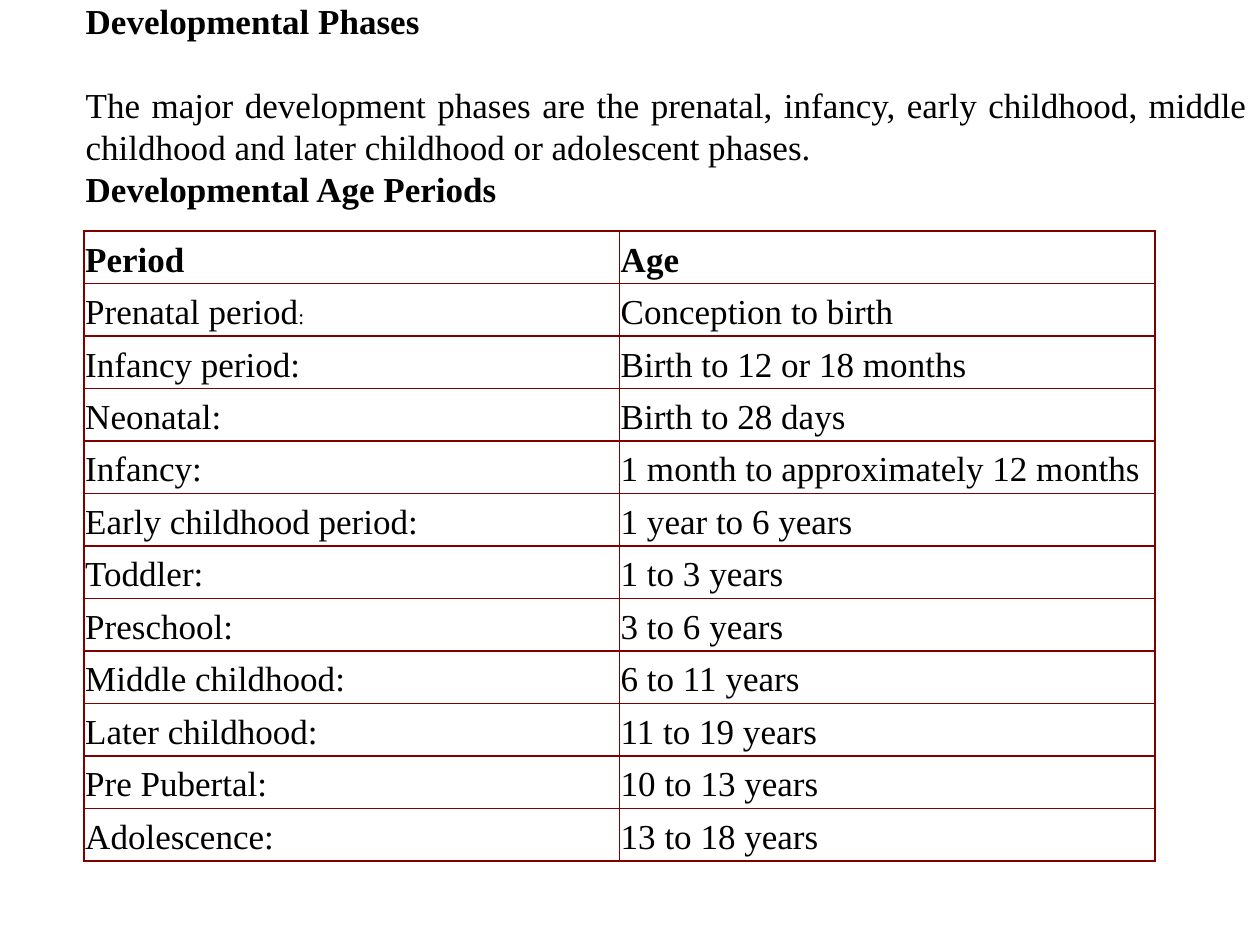
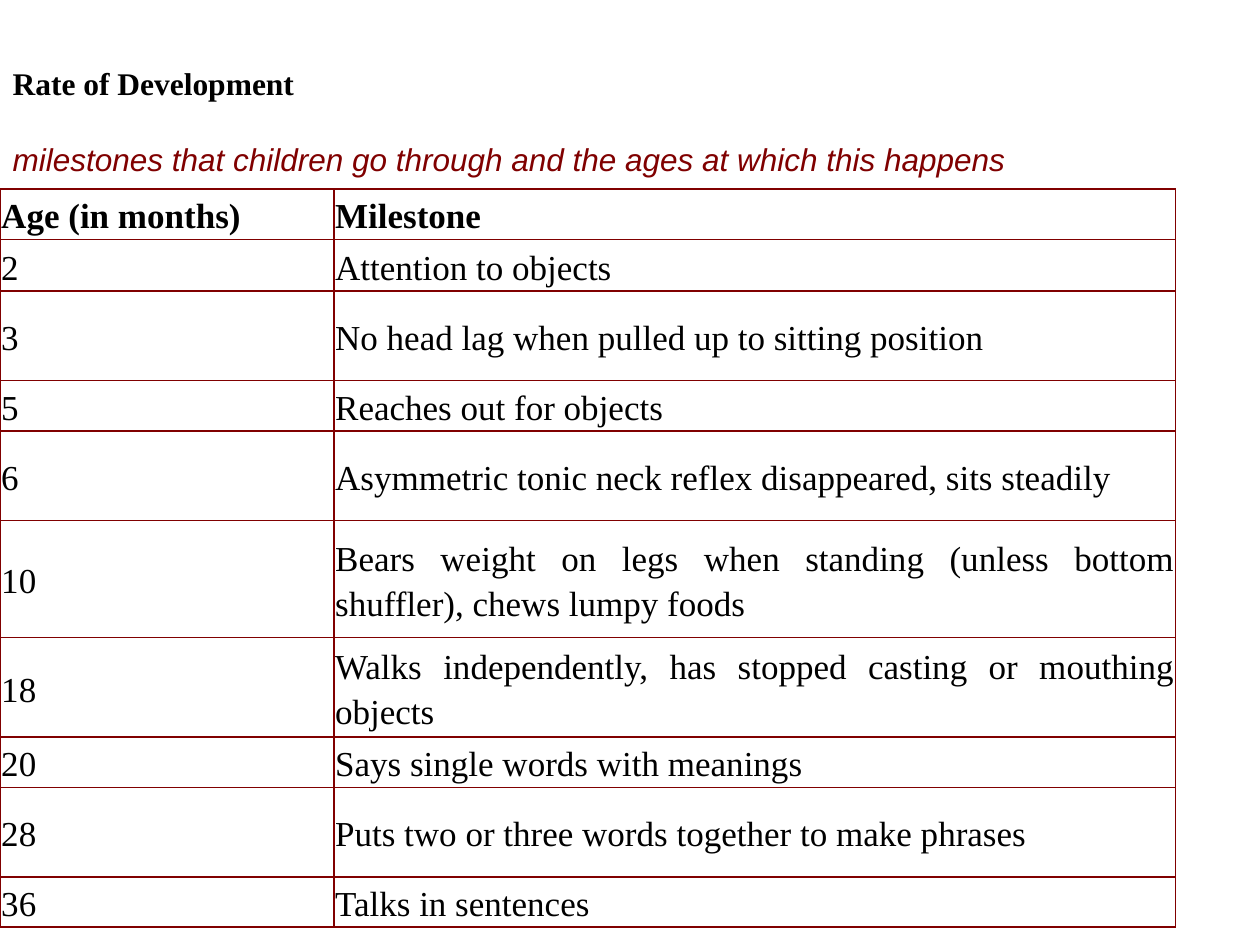
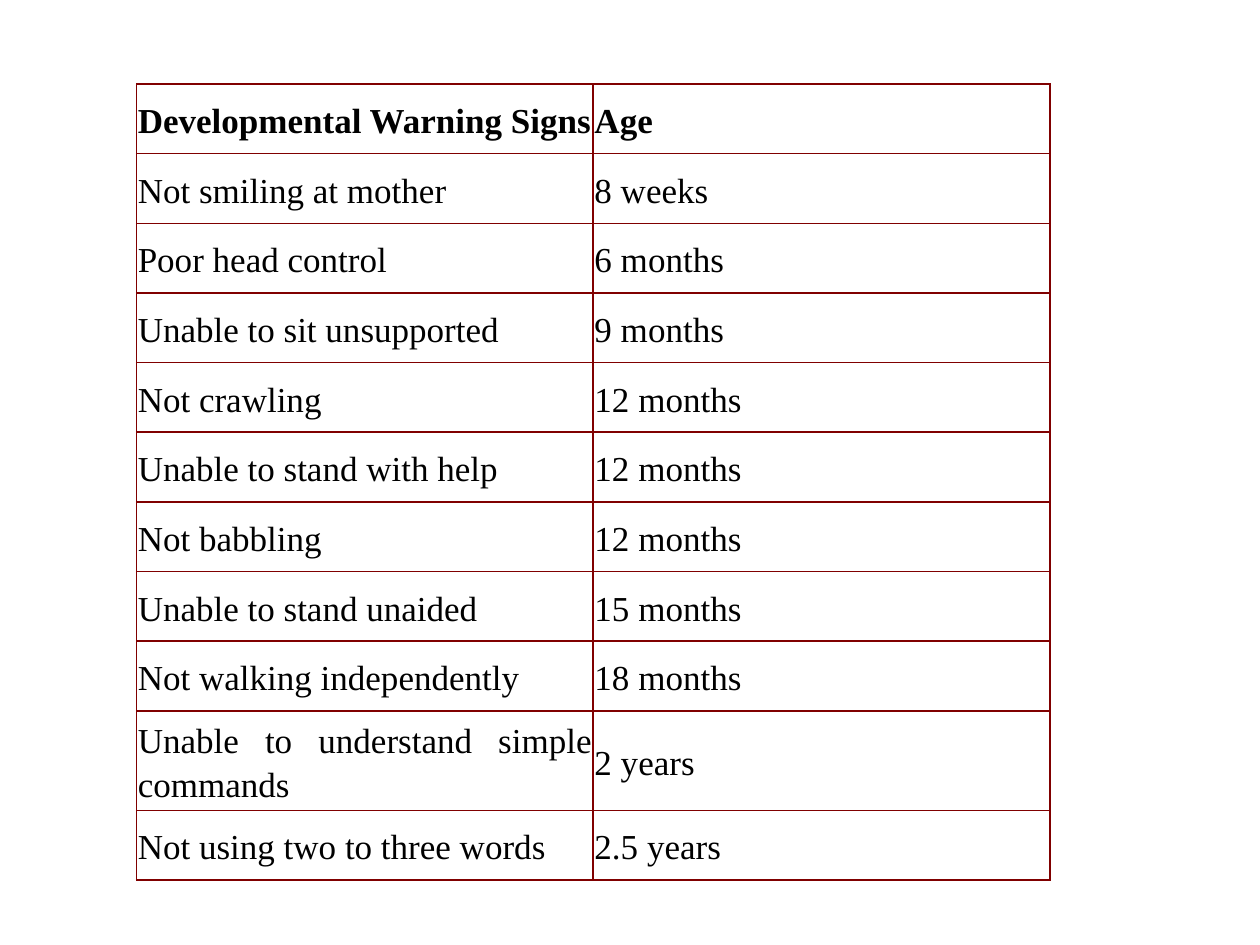
from dataclasses import dataclass

from lxml import etree
from pptx import Presentation
from pptx.dml.color import RGBColor
from pptx.enum.text import MSO_ANCHOR, MSO_AUTO_SIZE, PP_ALIGN
from pptx.oxml.ns import qn
from pptx.util import Inches, Pt

MIDDLE = MSO_ANCHOR.MIDDLE
NO_AUTOFIT = MSO_AUTO_SIZE.NONE
JUSTIFY = PP_ALIGN.JUSTIFY
TITLE_AND_CONTENT = 1
BLANK = 6


@dataclass(frozen=True)
class Theme:
    text: RGBColor = RGBColor(0x00, 0x00, 0x00)
    accent: RGBColor = RGBColor(0x80, 0x00, 0x00)
    serif: str = "Times New Roman"
    sans: str = "Arial"
    large: float = 20
    medium: float = 18
    small: float = 12
    border: float = 1
    text_spacing: float = 1.0
    cell_spacing: float = 1.15
    cell_margin: float = 0.01


@dataclass(frozen=True)
class Box:
    left: float
    top: float
    width: float
    height: float


@dataclass(frozen=True)
class TextStyle:
    size: float
    font: str
    color: RGBColor
    bold: bool = False
    italic: bool = False


@dataclass(frozen=True)
class TextLine:
    text: str
    style: TextStyle


@dataclass(frozen=True)
class TableLayout:
    left: float
    top: float
    column_widths: list[float]
    row_heights: list[float]


THEME = Theme()
HEADING = TextStyle(THEME.large, THEME.serif, THEME.text, bold=True)
BODY = TextStyle(THEME.large, THEME.serif, THEME.text)
SMALL_BODY = TextStyle(THEME.small, THEME.serif, THEME.text)
RATE_HEADING = TextStyle(THEME.medium, THEME.serif, THEME.text, bold=True)
RATE_NOTE = TextStyle(THEME.medium, THEME.sans, THEME.accent, italic=True)

AGE_PERIODS = [
    ("Period", "Age"),
    ("Prenatal period", "Conception to birth"),
    ("Infancy period:", "Birth to 12 or 18 months"),
    ("Neonatal:", "Birth to 28 days"),
    ("Infancy:", "1 month to approximately 12 months"),
    ("Early childhood period:", "1 year to 6 years"),
    ("Toddler:", "1 to 3 years"),
    ("Preschool:", "3 to 6 years"),
    ("Middle childhood:", "6 to 11 years"),
    ("Later childhood:", "11 to 19 years"),
    ("Pre Pubertal:", "10 to 13 years"),
    ("Adolescence:", "13 to 18 years"),
]
MILESTONES = [
    ("Age (in months)", "Milestone"),
    ("2", "Attention to objects"),
    ("3", "No head lag when pulled up to sitting position"),
    ("5", "Reaches out for objects"),
    ("6", "Asymmetric tonic neck reflex disappeared, sits steadily"),
    ("10", "Bears weight on legs when standing (unless bottom shuffler), chews lumpy foods"),
    ("18", "Walks independently, has stopped casting or mouthing objects"),
    ("20", "Says single words with meanings"),
    ("28", "Puts two or three words together to make phrases"),
    ("36", "Talks in sentences"),
]
WARNING_SIGNS = [
    ("Developmental Warning Signs", "Age"),
    ("Not smiling at mother", "8 weeks"),
    ("Poor head control", "6 months"),
    ("Unable to sit unsupported", "9 months"),
    ("Not crawling", "12 months"),
    ("Unable to stand with help", "12 months"),
    ("Not babbling", "12 months"),
    ("Unable to stand unaided", "15 months"),
    ("Not walking independently", "18 months"),
    ("Unable to understand simple commands", "2 years"),
    ("Not using two to three words", "2.5 years"),
]


def format_run(run, style: TextStyle) -> None:
    run.font.size = Pt(style.size)
    run.font.name = style.font
    run.font.color.rgb = style.color
    run.font.bold = style.bold
    run.font.italic = style.italic


def format_paragraph(paragraph, style: TextStyle, spacing: float) -> None:
    paragraph.alignment = JUSTIFY
    paragraph.line_spacing = spacing
    for run in paragraph.runs:
        format_run(run, style)


def fill_placeholder(shape, box: Box, lines: list[TextLine]) -> None:
    shape.left, shape.top = Inches(box.left), Inches(box.top)
    shape.width, shape.height = Inches(box.width), Inches(box.height)
    frame = shape.text_frame
    frame.word_wrap = True
    frame.auto_size = NO_AUTOFIT
    frame.vertical_anchor = MIDDLE
    frame.margin_top = frame.margin_bottom = 0
    frame.text = "\n".join(line.text for line in lines)
    for paragraph, line in zip(frame.paragraphs, lines):
        properties = paragraph._p.get_or_add_pPr()
        properties.set("marL", "0")
        properties.set("indent", "0")
        etree.SubElement(properties, qn("a:buNone"))
        paragraph.space_before = Pt(0)
        format_paragraph(paragraph, line.style, THEME.text_spacing)


def add_borders(cell) -> None:
    properties = cell._tc.get_or_add_tcPr()
    for position, side in enumerate(("a:lnL", "a:lnR", "a:lnT", "a:lnB")):
        line = etree.Element(qn(side), w=str(Pt(THEME.border)))
        fill = etree.SubElement(line, qn("a:solidFill"))
        etree.SubElement(fill, qn("a:srgbClr"), val=str(THEME.accent))
        properties.insert(position, line)


def fill_cell(cell, text: str, style: TextStyle) -> None:
    cell.text_frame.text = text
    cell.vertical_anchor = MIDDLE
    margin = Inches(THEME.cell_margin)
    cell.margin_left = cell.margin_right = margin
    cell.margin_top = cell.margin_bottom = margin
    cell.fill.background()
    add_borders(cell)
    format_paragraph(cell.text_frame.paragraphs[0], style, THEME.cell_spacing)


def add_age_table(slide, layout: TableLayout, rows: list[tuple[str, str]]):
    table = slide.shapes.add_table(
        len(rows), len(layout.column_widths),
        Inches(layout.left), Inches(layout.top),
        Inches(sum(layout.column_widths)), Inches(sum(layout.row_heights)),
    ).table
    table.first_row = table.horz_banding = False
    for column, width in zip(table.columns, layout.column_widths):
        column.width = Inches(width)
    for row_index, (row, height) in enumerate(zip(table.rows, layout.row_heights)):
        row.height = Inches(height)
        style = BODY if row_index else HEADING
        for cell, text in zip(row.cells, rows[row_index]):
            fill_cell(cell, text, style)
    return table


def add_text_slide(presentation, title_box: Box, title: TextLine,
                   body_box: Box, body: list[TextLine]):
    slide = presentation.slides.add_slide(presentation.slide_layouts[TITLE_AND_CONTENT])
    fill_placeholder(slide.shapes.title, title_box, [title])
    fill_placeholder(slide.placeholders[1], body_box, body)
    return slide


def build_phases_slide(presentation) -> None:
    slide = add_text_slide(
        presentation,
        Box(0.58, 0, 9.42, 0.33), TextLine("Developmental Phases", HEADING),
        Box(0.58, 0.66, 9.42, 1.0), [
            TextLine("The major development phases are the prenatal, infancy, early childhood, "
                     "middle childhood and later childhood or adolescent phases.", BODY),
            TextLine("Developmental Age Periods", HEADING),
        ])
    row_count = len(AGE_PERIODS)
    layout = TableLayout(2 / 3, 11 / 6, [4.25, 4.25], [5 / row_count] * row_count)
    table = add_age_table(slide, layout, AGE_PERIODS)
    colon = table.cell(1, 0).text_frame.paragraphs[0].add_run()
    colon.text = ":"
    format_run(colon, SMALL_BODY)


def build_rate_slide(presentation) -> None:
    slide = add_text_slide(
        presentation,
        Box(0, 0.51, 10, 0.3), TextLine("Rate of Development", RATE_HEADING),
        Box(0, 1.11, 10, 0.3), [
            TextLine("milestones that children go through and the ages at which this happens",
                     RATE_NOTE),
        ])
    heights = [0.4, 0.41, 0.71, 0.4, 0.71, 0.93, 0.79, 0.4, 0.71, 0.4]
    add_age_table(slide, TableLayout(0, 1.5, [2.65, 6.68], heights), MILESTONES)


def build_warning_slide(presentation) -> None:
    slide = presentation.slides.add_slide(presentation.slide_layouts[BLANK])
    table_height, wrapped_height = 6.32, 0.79
    row_count = len(WARNING_SIGNS)
    heights = [(table_height - wrapped_height) / (row_count - 1)] * row_count
    heights[-2] = wrapped_height
    layout = TableLayout(13 / 12, 2 / 3, [7.25 / 2] * 2, heights)
    add_age_table(slide, layout, WARNING_SIGNS)


def main() -> None:
    presentation = Presentation()
    presentation.slide_width = Inches(10)
    presentation.slide_height = Inches(7.5)
    build_phases_slide(presentation)
    build_rate_slide(presentation)
    build_warning_slide(presentation)
    presentation.save("out.pptx")


if __name__ == "__main__":
    main()
